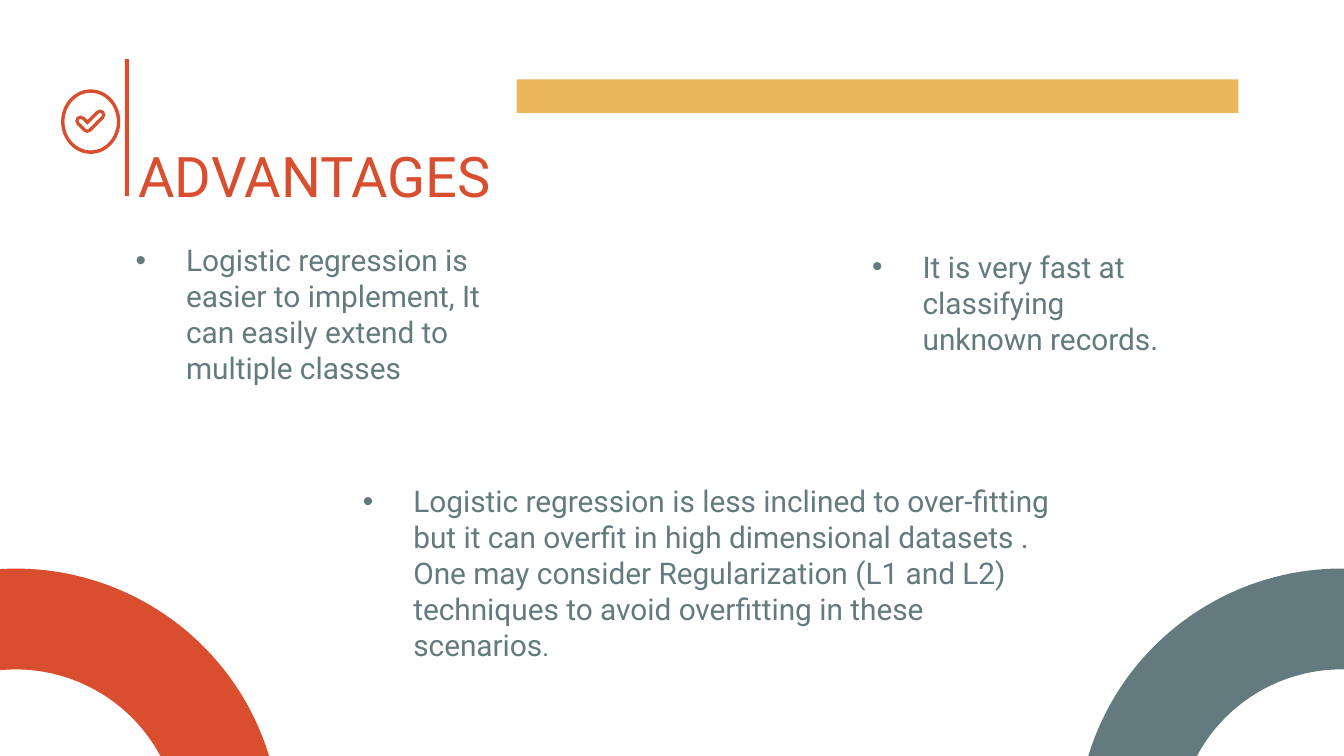
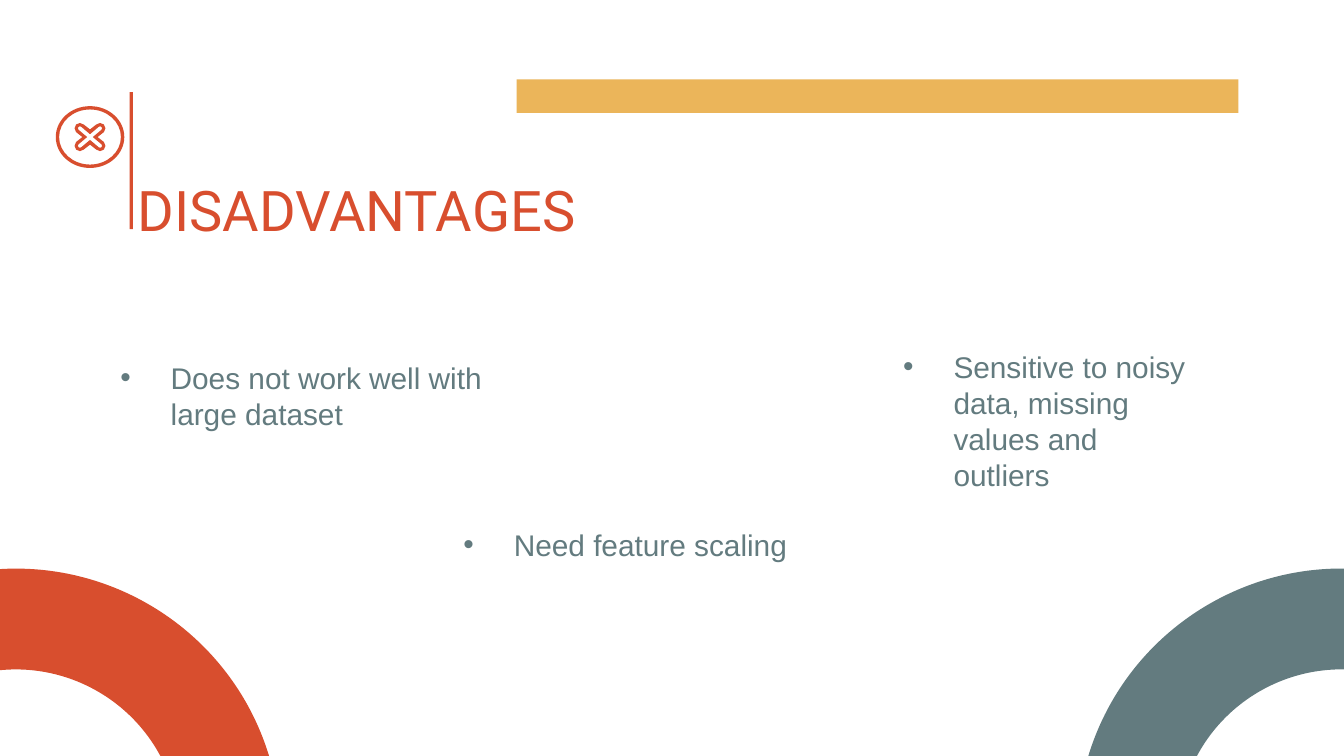
from itertools import chain
from math import cos, radians, sin, sqrt, tan

from lxml import etree
from pptx import Presentation
from pptx.dml.color import RGBColor
from pptx.enum.shapes import MSO_SHAPE
from pptx.enum.text import MSO_ANCHOR, MSO_AUTO_SIZE, PP_ALIGN
from pptx.oxml.ns import qn
from pptx.util import Pt

PX = 4572  # EMU in one px, 200 px to the inch
PAGE_WIDTH, PAGE_HEIGHT = 2000, 1125

RED = RGBColor(0xD8, 0x4E, 0x2E)
SLATE = RGBColor(0x63, 0x7B, 0x7F)
GOLD = RGBColor(0xEB, 0xB5, 0x5A)

RECTANGLE = MSO_SHAPE.RECTANGLE
TOP, LEFT, NO_FIT = MSO_ANCHOR.TOP, PP_ALIGN.LEFT, MSO_AUTO_SIZE.NONE

ROBOTO, ARIAL = "Roboto", "Arial"
TITLE_SIZE, BODY_SIZE = 30, 16
LEADING = 1.2
INSET = 20
BULLET_MARGIN, BULLET_INDENT = 100, -75
TWO_CONTENT, COMPARISON = 3, 4
ICON_RADII = (8, 3)
ICON_STROKE = 5


def emu(*lengths):
    return [round(length * PX) for length in lengths]


def paint(shape, color):
    shape.shadow.inherit = False
    shape.fill.solid()
    shape.fill.fore_color.rgb = color
    shape.line.fill.background()
    return shape


def add_bar(page, frame, color):
    paint(page.shapes.add_shape(RECTANGLE, *emu(*frame)), color)


def arc(x, y, rx, ry, start, end):
    """Steps of an arc: its first point, then one curve for each 90 degrees."""
    turn = 90 if end > start else -90
    pull = 4 / 3 * tan(radians(turn / 4))

    def point(angle, along):
        c, s = cos(radians(angle)), sin(radians(angle))
        return x + rx * (c - along * s), y + ry * (s + along * c)

    curves = [(point(a, pull), point(a + turn, -pull), point(a + turn, 0))
              for a in range(start, end, turn)]
    return [(point(start, 0),)] + curves


def bend(shape, steps):
    """Turn each run of three lines that stands for a curve into a curve."""
    outline = next(shape.element.iter(qn("a:path")))
    nodes = iter([node for node in outline if node.tag != qn("a:close")])
    for step in steps:
        first, *others = [next(nodes) for _ in step]
        if others:
            first.tag = qn("a:cubicBezTo")
        for node in others:
            first.append(node[0])
            outline.remove(node)


def add_outline(page, contours, color):
    """Fill closed contours; a contour inside another one is a hole."""
    builder = None
    for contour in contours:
        start, *rest = [emu(*point) for point in chain(*contour)]
        if builder is None:
            builder = page.shapes.build_freeform(*start)
        else:
            builder.move_to(*start)
        builder.add_line_segments(rest, close=True)
    shape = paint(builder.convert_to_shape(), color)
    bend(shape, chain(*contours))
    return shape


def add_quarter_ring(page, x, y, start, rotation, color):
    end = start + 90
    ring = arc(x, y, 394, 394, start, end) + arc(x, y, 244, 244, end, start)
    add_outline(page, [ring], color).rotation = rotation


def check_contour(radius):
    x, y = 130, 190
    return (arc(x - 10, y - 10, radius, radius, 135, 315)
            + [((x, y - radius * sqrt(2)),)]
            + arc(x + 19, y - 19, radius, radius, 225, 405)
            + arc(x, y, radius, radius, 45, 135))


def cross_contour(radius):
    x, y = 134, 204
    notch = radius * sqrt(2)
    steps = []
    arms = [(15, 13), (-15, 13), (-15, -13), (15, -13)]
    for angle, (dx, dy) in zip(range(45, 360, 90), arms):
        steps += arc(x + dx, y + dy, radius, radius, angle - 90, angle + 90)
        steps += arc(x, y, notch, notch, angle + 45, angle + 45)
    return steps


def add_icon(page, circle, contour):
    x, y, rx, ry = circle
    add_outline(page, [arc(x, y, rx - stroke, ry - stroke, 0, 360)
                       for stroke in (0, ICON_STROKE)], RED)
    add_outline(page, [contour(radius) for radius in ICON_RADII], RED)


def add_master_decoration(deck, page):
    """Draw the shared shapes on a page, then move them to the master."""
    kept = len(page.shapes)
    add_bar(page, (769, 118, 1074, 50), GOLD)
    add_quarter_ring(page, 2054, 1196, 180, 15, SLATE)
    add_quarter_ring(page, -34, 1196, 270, 345, RED)
    for shape in list(page.shapes)[kept:]:
        deck.slide_master.shapes.element.append(shape.element)


def place(box, frame):
    box.left, box.top, box.width, box.height = emu(*frame)
    text_frame = box.text_frame
    text_frame.word_wrap = True
    text_frame.auto_size = NO_FIT
    text_frame.vertical_anchor = TOP
    text_frame.margin_left = text_frame.margin_right = INSET * PX
    text_frame.margin_top = text_frame.margin_bottom = INSET * PX
    return text_frame.paragraphs[0]


def write(para, text, font=ROBOTO, size=BODY_SIZE, color=SLATE):
    span = para.add_run()
    span.text = text
    span.font.name = font
    span.font.size = Pt(size)
    span.font.bold = False
    span.font.color.rgb = color


def set_spacing(para, size):
    para.alignment = LEFT
    para.space_before = Pt(0)
    para.line_spacing = Pt(size * LEADING)


def set_bullet(para, color):
    props = para._p.get_or_add_pPr()
    props.set("marL", str(BULLET_MARGIN * PX))
    props.set("indent", str(BULLET_INDENT * PX))
    bullet_color = etree.SubElement(props, qn("a:buClr"))
    etree.SubElement(bullet_color, qn("a:srgbClr"), val=str(color))
    etree.SubElement(props, qn("a:buFont"), typeface=ARIAL)
    etree.SubElement(props, qn("a:buChar"), char="•")


def add_title(page, text, frame):
    para = place(page.shapes.title, frame)
    set_spacing(para, TITLE_SIZE)
    write(para, text, size=TITLE_SIZE, color=RED)


def add_points(page, points, font):
    """Fill the body placeholders, then text boxes; drop unused placeholders."""
    bodies = [box for box in page.placeholders if box.placeholder_format.idx]
    for frame, *spans in points:
        box = bodies.pop(0) if bodies else page.shapes.add_textbox(*emu(*frame))
        para = place(box, frame)
        set_spacing(para, BODY_SIZE)
        set_bullet(para, SLATE)
        for text, size in spans:
            write(para, text, font=font, size=size)
    for box in bodies:
        box.element.getparent().remove(box.element)


def add_advantages(page):
    add_title(page, "ADVANTAGES", (186, 191, 634, 126))
    add_points(page, [
        ((1253, 350, 500, 126),
         ("It is very fast at classifying unknown records.", BODY_SIZE)),
        ((495, 699, 1090, 202),
         ("Logistic regression is less inclined to over-fitting but it can "
          "overfit in high dimensional datasets . One may consider "
          "Regularization (L1 and L2) techniques to avoid overfitting in "
          "these scenarios", BODY_SIZE), (".", 14)),
        ((157, 340, 634, 126),
         ("Logistic regression is easier to implement, It can easily extend "
          "to multiple classes", BODY_SIZE)),
    ], ROBOTO)
    add_icon(page, (135, 181, 44, 48), check_contour)
    add_bar(page, (186, 88, 6, 204), RED)


def add_disadvantages(page):
    add_title(page, "DISADVANTAGES", (185, 241, 776, 126))
    add_icon(page, (134, 204, 51, 46), cross_contour)
    add_bar(page, (193, 137, 5, 204), RED)
    add_points(page, [
        ((1299, 499, 500, 126),
         ("Sensitive to noisy data, missing values and outliers", BODY_SIZE)),
        ((134, 515, 634, 126),
         ("Does not work well with large dataset", BODY_SIZE)),
        ((645, 764, 634, 126), ("Need feature scaling", BODY_SIZE)),
    ], ARIAL)


def main():
    deck = Presentation()
    deck.slide_width, deck.slide_height = emu(PAGE_WIDTH, PAGE_HEIGHT)
    first = deck.slides.add_slide(deck.slide_layouts[COMPARISON])
    add_master_decoration(deck, first)
    add_advantages(first)
    add_disadvantages(deck.slides.add_slide(deck.slide_layouts[TWO_CONTENT]))
    deck.save("out.pptx")


if __name__ == "__main__":
    main()
